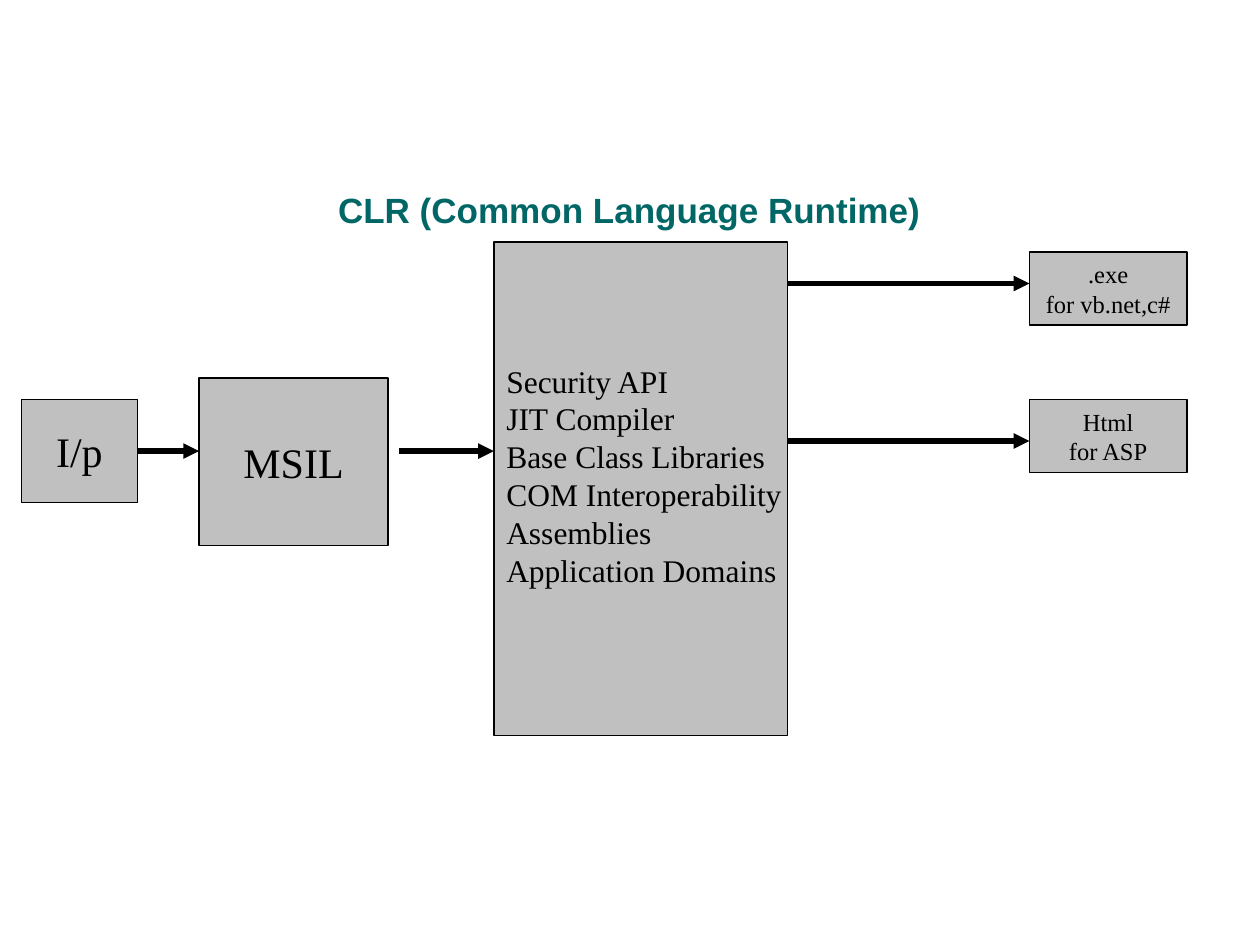
from lxml import etree
from pptx import Presentation, util as u
from pptx.dml.color import RGBColor
from pptx.enum import shapes as s, text as t
from pptx.oxml.ns import qn

HUES = {"box": "C0C0C0", "ink": "000000", "title": "006666", "page": "FFFFFF"}
SERIF = "Times New Roman"
TITLE = "CLR (Common Language Runtime)"
PARTS = ["Security API", "JIT Compiler", "Base Class Libraries",
         "COM Interoperability", "Assemblies", "Application Domains"]
BOXES = {
    "input": (["I/p"], (0.17, 3.17, 0.92, 0.82), 24),
    "msil": (["MSIL"], (1.58, 3, 1.5, 1.33), 24),
    "clr": (PARTS, (3.92, 1.92, 2.33, 3.92), 18),
    "exe": ([".exe", "for vb.net,c#"], (8.17, 2, 1.25, 0.58), 14),
    "html": (["Html", "for ASP"], (8.17, 3.17, 1.25, 0.58), 14),
}
ARROWS = {
    "input": (1.09, 1.58, 3.58),
    "msil": (3.17, 3.92, 3.58),
    "exe": (6.25, 8.17, 2.25),
    "html": (6.25, 8.17, 3.5),
}


def hue(name):
    return RGBColor.from_string(HUES[name])


def add_box(slide, lines, place, size, face=SERIF, ink="ink", fill="box"):
    box = slide.shapes.add_shape(s.MSO_SHAPE.RECTANGLE, *map(u.Inches, place))
    box.shadow.inherit = False
    box.fill.solid()
    box.fill.fore_color.rgb = hue(fill)
    box.line.color.rgb = hue("ink")
    box.line.width = u.Pt(0.75)
    frame = box.text_frame
    frame.word_wrap = False
    frame.vertical_anchor = t.MSO_ANCHOR.MIDDLE
    frame.text = "\n".join(lines)
    for para in frame.paragraphs:
        para.alignment = t.PP_ALIGN.CENTER
        font = para.runs[0].font
        font.name, font.size = face, u.Pt(size)
        font.color.rgb = hue(ink)
    return box


def add_arrow(slide, left, right, y):
    line = slide.shapes.add_connector(
        s.MSO_CONNECTOR.STRAIGHT, *map(u.Inches, (left, y, right, y)))
    line.line.color.rgb = hue("ink")
    line.line.width = u.Pt(3)
    etree.SubElement(line.line._get_or_add_ln(), qn("a:tailEnd"), type="triangle")
    etree.SubElement(line._element.spPr, qn("a:effectLst"))
    return line


def main():
    deck = Presentation()
    deck.slide_width, deck.slide_height = u.Inches(10), u.Inches(7.5)
    slide = deck.slides.add_slide(deck.slide_layouts[6])

    boxes = {key: add_box(slide, *row) for key, row in BOXES.items()}
    frame = boxes["clr"].text_frame
    frame.vertical_anchor = t.MSO_ANCHOR.TOP
    frame.margin_top = u.Inches(0.95)
    for para in frame.paragraphs:
        para.alignment = t.PP_ALIGN.LEFT

    arrows = {key: add_arrow(slide, *row) for key, row in ARROWS.items()}
    arrows["input"].begin_connect(boxes["input"], 3)

    title = add_box(slide, [TITLE], (3.83, 1.5, 2.33, 0.33), 20,
                    "Arial", "title", "page")
    title.line.fill.background()
    title.text_frame.paragraphs[0].runs[0].font.bold = True
    deck.save("out.pptx")


if __name__ == "__main__":
    main()
